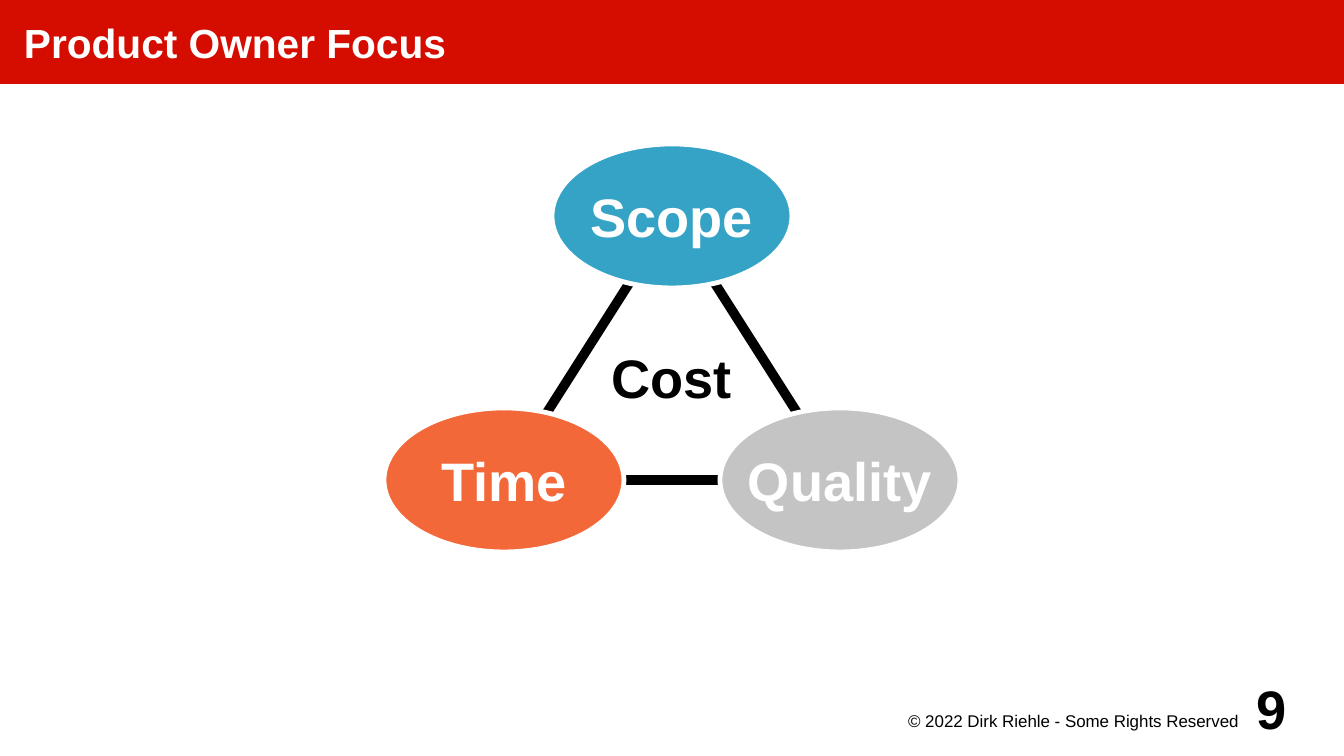
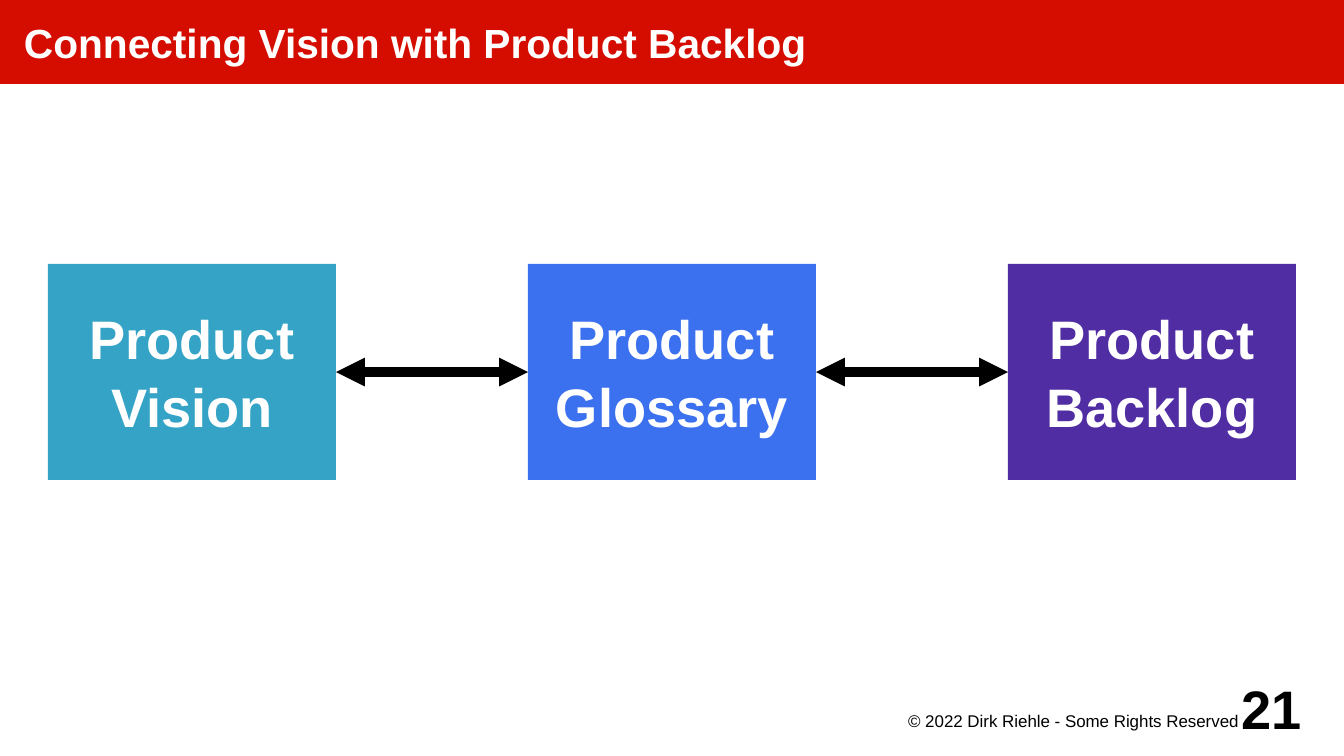
from lxml import etree
from pptx import Presentation
from pptx.dml.color import RGBColor
from pptx.enum.shapes import MSO_CONNECTOR, MSO_SHAPE
from pptx.enum.text import MSO_ANCHOR, MSO_AUTO_SIZE, PP_ALIGN
from pptx.oxml.ns import qn
from pptx.util import Cm, Pt

RECT, OVAL, STRAIGHT = MSO_SHAPE.RECTANGLE, MSO_SHAPE.OVAL, MSO_CONNECTOR.STRAIGHT
LEFT, CENTER, RIGHT = PP_ALIGN.LEFT, PP_ALIGN.CENTER, PP_ALIGN.RIGHT
TOP, MIDDLE = MSO_ANCHOR.TOP, MSO_ANCHOR.MIDDLE
SIDE_LEFT, SIDE_RIGHT = 1, 3

# The grid has square cells of one centimetre.
COLS, ROWS = 28, 15.75
BLACK, WHITE, RED = "000000", "FFFFFF", "D50D01"
TEAL, ORANGE, GREY = "34A3C5", "F36838", "C4C4C4"
BLUE, PURPLE = "3B70EE", "502DA2"


def rgb(color):
    return RGBColor.from_string(color)


def put_text(shape, text, size=32, color=BLACK, bold=True, align=CENTER,
             anchor=MIDDLE, insets=(0.2, 0.2, 0.2, 0.2), wrap=True, gap=1.5):
    """Fill a shape with one paragraph per line; gap is the points between them."""
    tf = shape.text_frame
    tf.auto_size = MSO_AUTO_SIZE.NONE
    tf.word_wrap = wrap
    tf.vertical_anchor = anchor
    tf.margin_left, tf.margin_top, tf.margin_right, tf.margin_bottom = map(Cm, insets)
    for i, line in enumerate(text.split("\n")):
        p = tf.add_paragraph() if i else tf.paragraphs[0]
        p.alignment = align
        p.space_before = Pt(gap if i else 0)
        r = p.add_run()
        r.text = line
        r.font.name, r.font.size, r.font.bold = "Arial", Pt(size), bold
        r.font.color.rgb = rgb(color)


class Deck:
    def __init__(self):
        self.prs = Presentation()
        self.prs.slide_width, self.prs.slide_height = Cm(COLS), Cm(ROWS)
        self.s = None

    def slide(self, title, number):
        """Start a slide with its title band, copyright line and number."""
        self.s = self.prs.slides.add_slide(self.prs.slide_layouts[5])
        band = self.s.shapes.title
        band.left, band.top, band.width, band.height = map(Cm, (0, 0, COLS, 1.75))
        band.fill.solid()
        band.fill.fore_color.rgb = rgb(RED)
        put_text(band, title, size=24, color=WHITE, align=LEFT, insets=(0.5, 0, 0, 0))
        self.text(18, 14.75, 8, 0.75, "© 2022 Dirk Riehle - Some Rights Reserved",
                  size=10, bold=False, align=RIGHT, anchor=TOP, insets=(0, 0.05, 0.2, 0))
        self.text(25.5, 14, 2, 1.5, str(number), insets=(0, 0, 0, 0))

    def text(self, x, y, w, h, text, **fmt):
        put_text(self.s.shapes.add_textbox(*map(Cm, (x, y, w, h))), text, **fmt)

    def shape(self, kind, x, y, w, h, text, fill, outline=None, **fmt):
        sp = self.s.shapes.add_shape(kind, *map(Cm, (x, y, w, h)))
        sp.shadow.inherit = False
        sp.fill.solid()
        sp.fill.fore_color.rgb = rgb(fill)
        if outline:
            sp.line.color.rgb = rgb(outline)
            sp.line.width = Pt(2.83)
        else:
            sp.line.fill.background()
        put_text(sp, text, color=WHITE, **fmt)
        return sp

    def line(self, start=(0, 0), end=(0, 0)):
        c = self.s.shapes.add_connector(STRAIGHT, *map(Cm, (*start, *end)))
        c.line.color.rgb = rgb(BLACK)
        c.line.width = Pt(5.67)
        etree.SubElement(c._element.spPr, qn("a:effectLst"))
        return c

    def double_arrow(self, left, right):
        """Join two boxes side by side."""
        c = self.line()
        c.begin_connect(left, SIDE_RIGHT)
        c.end_connect(right, SIDE_LEFT)
        ln = c.line._get_or_add_ln()
        for tag in ("a:headEnd", "a:tailEnd"):
            etree.SubElement(ln, qn(tag), type="triangle")


def focus_slide(deck):
    deck.slide("Product Owner Focus", 9)
    w, h = 5, 3
    top, left, right = (14, 4.5), (10.5, 10), (17.5, 10)
    for start, end in ((left, top), (top, right), (left, right)):
        deck.line(start, end)
    for (cx, cy), label, fill in ((right, "Quality", GREY), (top, "Scope", TEAL),
                                  (left, "Time", ORANGE)):
        deck.shape(OVAL, cx - w / 2, cy - h / 2, w, h, label, fill,
                   outline=WHITE, wrap=False)
    deck.text(11.5, 6.1, w, 3.5, "Cost", wrap=False)


def backlog_slide(deck):
    deck.slide("Connecting Vision with Product Backlog", 21)
    parts = (("Vision", TEAL), ("Glossary", BLUE), ("Backlog", PURPLE))
    boxes = [deck.shape(RECT, 1 + 10 * i, 5.5, 6, 4.5, f"Product\n{name}", fill)
             for i, (name, fill) in enumerate(parts)]
    for left, right in zip(boxes, boxes[1:]):
        deck.double_arrow(left, right)


def main():
    deck = Deck()
    focus_slide(deck)
    backlog_slide(deck)
    deck.prs.save("out.pptx")


if __name__ == "__main__":
    main()
